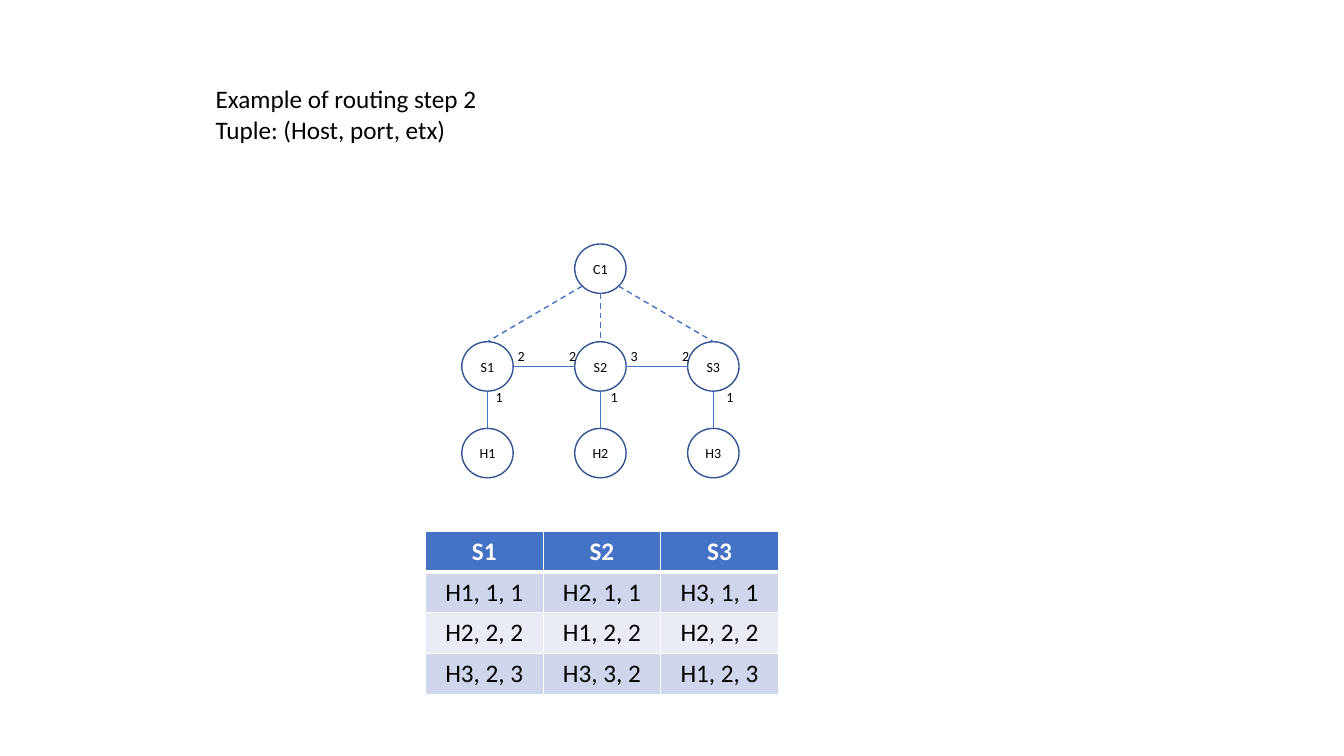
from math import sqrt

from lxml.etree import SubElement
from pptx import Presentation
from pptx.dml.color import RGBColor
from pptx.enum.dml import MSO_LINE
from pptx.enum.shapes import MSO_CONNECTOR, MSO_SHAPE
from pptx.enum.text import MSO_ANCHOR, PP_ALIGN
from pptx.oxml.ns import qn
from pptx.util import Inches, Pt

BLACK = RGBColor(0x00, 0x00, 0x00)
WHITE = RGBColor(0xFF, 0xFF, 0xFF)
LINK_BLUE = RGBColor(0x44, 0x72, 0xC4)
NODE_BLUE = RGBColor(0x32, 0x54, 0x91)
BAND_DARK = RGBColor(0xCF, 0xD5, 0xEA)
BAND_LIGHT = RGBColor(0xE9, 0xEB, 0xF5)


def write(frame, lines, size, align=PP_ALIGN.CENTER, color=BLACK, bold=False, **frame_format):
    """Fill a text frame with one paragraph per line and format it."""
    for name, value in {"word_wrap": True, **frame_format}.items():
        setattr(frame, name, value)
    frame.text = "\n".join(lines)
    for paragraph in frame.paragraphs:
        paragraph.alignment = align
        for name, value in {"name": "Calibri", "size": Pt(size), "bold": bold}.items():
            setattr(paragraph.font, name, value)
        paragraph.font.color.rgb = color


def link(shapes, start, end, dash=None):
    """Draw a network link between two points given in inches."""
    line = shapes.add_connector(MSO_CONNECTOR.STRAIGHT, *map(Inches, start + end))
    line.line.color.rgb = LINK_BLUE
    line.line.width = Pt(1)
    if dash:
        line.line.dash_style = dash
    SubElement(line._element.spPr, qn("a:effectLst"))


deck = Presentation()
deck.slide_width, deck.slide_height = Inches(13.33), Inches(7.5)
slide = deck.slides.add_slide(deck.slide_layouts[6])

heading = slide.shapes.add_textbox(Inches(2.04), Inches(0.78), Inches(4.89), Inches(0.71))
write(heading.text_frame, ["Example of routing step 2", "Tuple: (Host, port, etx)"], 18,
      align=PP_ALIGN.LEFT)

# Network: one controller above three switches, each with its host
NODE_W, NODE_H = 0.51, 0.49
columns = [4.58 + 1.12 * i for i in range(3)]
centers = [x + NODE_W / 2 for x in columns]
CONTROLLER_Y, SWITCH_Y, HOST_Y = 2.42, 3.39, 4.25

network = slide.shapes.add_group_shape().shapes
nodes = [(f"H{i + 1}", x, HOST_Y) for i, x in enumerate(columns)]
nodes += [(f"S{i + 1}", x, SWITCH_Y) for i, x in enumerate(columns)]
nodes.append(("C1", columns[1], CONTROLLER_Y))
for label, x, y in nodes:
    node = network.add_shape(MSO_SHAPE.OVAL, Inches(x), Inches(y), Inches(NODE_W), Inches(NODE_H))
    node.shadow.inherit = False
    node.fill.background()
    node.line.color.rgb = NODE_BLUE
    node.line.width = Pt(1)
    write(node.text_frame, [label], 10, vertical_anchor=MSO_ANCHOR.MIDDLE,
          margin_left=0, margin_right=0)

for center in centers:
    link(network, (center, HOST_Y), (center, SWITCH_Y + NODE_H))
for left, right in zip(columns, columns[1:]):
    link(network, (left + NODE_W, SWITCH_Y + NODE_H / 2), (right, SWITCH_Y + NODE_H / 2))

# Control links leave the controller at its lower left, bottom and lower right
diagonal = 1 / sqrt(2)
for center, across, down in zip(centers, (-diagonal, 0, diagonal), (diagonal, 1, diagonal)):
    start = (centers[1] + across * NODE_W / 2, CONTROLLER_Y + (1 + down) * NODE_H / 2)
    link(network, start, (center, SWITCH_Y), MSO_LINE.DASH)

HOST_PORT_Y, SIDE_PORT_Y = 3.81, 3.4
ports = [("1", 4.83, HOST_PORT_Y), ("2", 5.05, SIDE_PORT_Y), ("1", 5.97, HOST_PORT_Y),
         ("1", 7.12, HOST_PORT_Y), ("2", 5.56, SIDE_PORT_Y), ("2", 6.68, SIDE_PORT_Y),
         ("3", 6.17, SIDE_PORT_Y)]
for number, x, y in ports:
    port = slide.shapes.add_textbox(Inches(x), Inches(y), Inches(0.18), Inches(0.27))
    write(port.text_frame, [number], 10, margin_left=Inches(0.06), margin_right=0)

# Routing table: one column of (host, port, etx) tuples per switch
routes = [
    ["S1", "S2", "S3"],
    ["H1, 1, 1", "H2, 1, 1", "H3, 1, 1"],
    ["H2, 2, 2", "H1, 2, 2", "H2, 2, 2"],
    ["H3, 2, 3", "H3, 3, 2", "H1, 2, 3"],
]
row_fills = [LINK_BLUE, BAND_DARK, BAND_LIGHT, BAND_DARK]
table = slide.shapes.add_table(4, 3, Inches(4.22), Inches(5.27), Inches(3.5), Inches(1.62)).table
for column in table.columns:
    column.width = Inches(3.5 / 3)
for r, (row, fill) in enumerate(zip(routes, row_fills)):
    table.rows[r].height = Inches(1.62 / 4)
    for c, entry in enumerate(row):
        cell = table.cell(r, c)
        borders = {"lnL": 1, "lnR": 1, "lnT": 3 if r == 1 else 1, "lnB": 3 if r == 0 else 1}
        for side, width in borders.items():
            border = SubElement(cell._tc.get_or_add_tcPr(), qn(f"a:{side}"), w=str(Pt(width)))
            SubElement(SubElement(border, qn("a:solidFill")), qn("a:srgbClr"), val=str(WHITE))
        cell.fill.solid()
        cell.fill.fore_color.rgb = fill
        write(cell.text_frame, [entry], 18, color=WHITE if r == 0 else BLACK, bold=r == 0)

deck.save("out.pptx")
